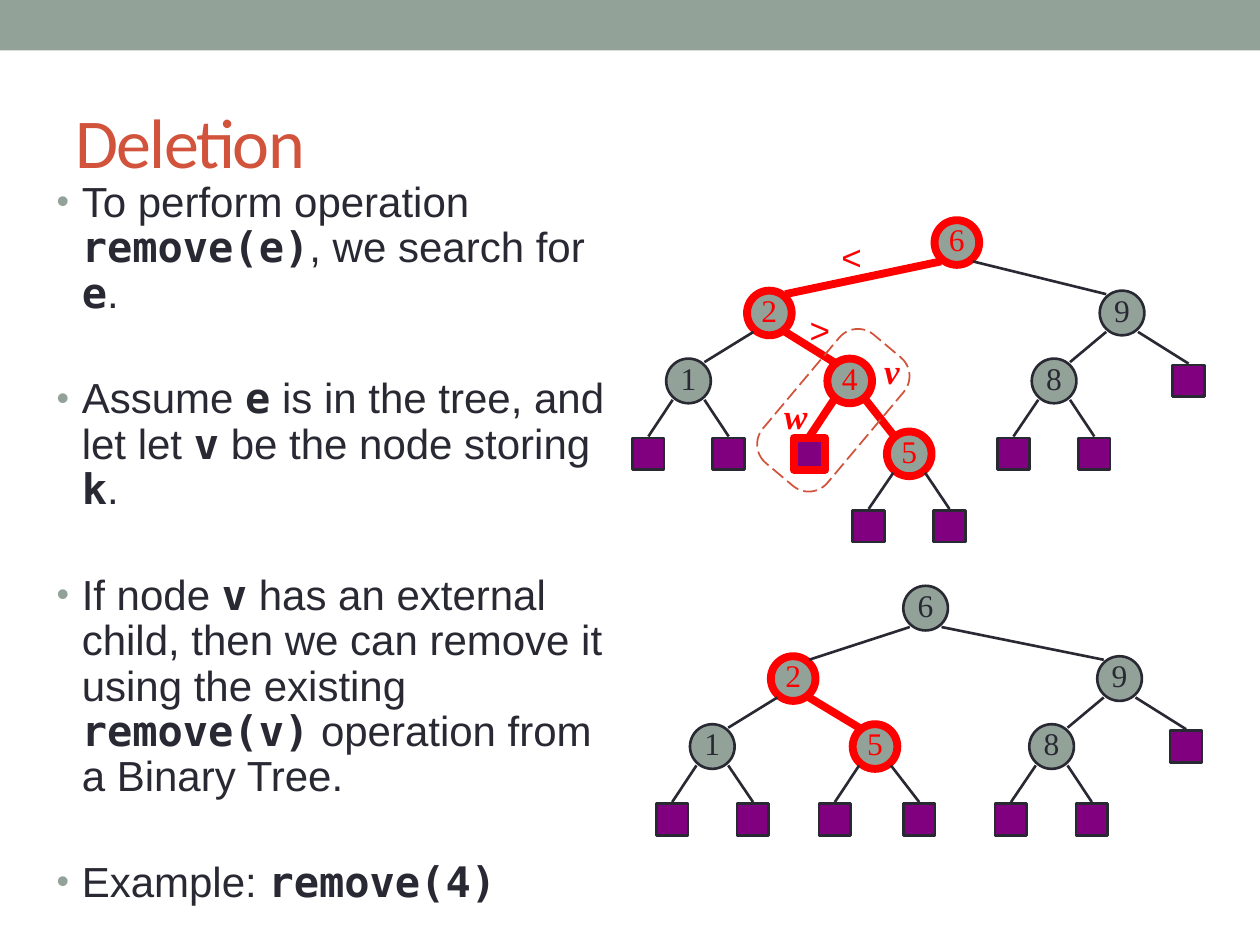
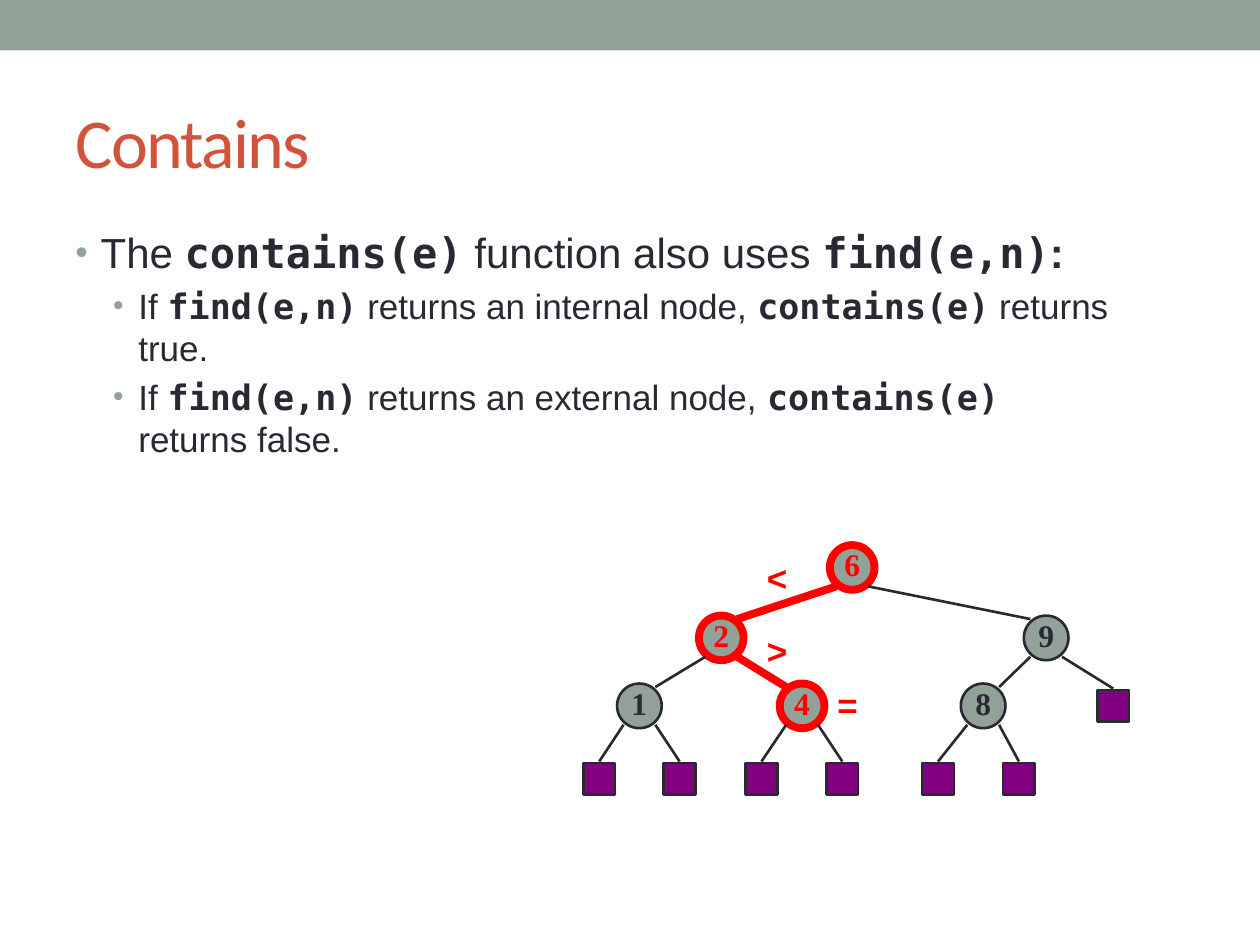
from lxml.etree import SubElement
from pptx import Presentation
from pptx.dml.color import RGBColor
from pptx.enum.dml import MSO_LINE as Dash
from pptx.enum.shapes import MSO_CONNECTOR as Link, MSO_SHAPE as Kind
from pptx.enum.text import MSO_ANCHOR as Anchor, PP_ALIGN as Align
from pptx.oxml.ns import qn
from pptx.util import Cm, Pt

# Shared look
SAGE, RUST, INK = "93A299", "D2533C", "292934"
RED, PLUM = "FF0000", "800080"
SANS, MONO, SERIF, HEAD = "Arial", "DejaVu Sans Mono", "Times New Roman", "Calibri"
THIN, THICK = 1.5, 4.5

# Content: `code` is set in bold mono, a part that starts with * in bold
STEPS = [
    "To perform operation `remove(e)`, we search for `e`.",
    "Assume `e` is in the tree, and let let `v` be the node storing `k`.",
    "If node `v` has an external child, then we can remove it using the "
    "existing `remove(v)` operation from a Binary Tree.",
    "Example: `remove(4)`",
]
USES = ["The `contains(e)` function also uses `find(e,n)`*:"]
CASES = [
    "If `find(e,n)` returns an internal node, `contains(e)` returns true.",
    "If `find(e,n)` returns an external node, `contains(e)` returns false.",
]

# Trees: key -> (parent, centre x), leaves as (parent, centre x), in cm
BEFORE = dict(
    top=4.89, hot="6245", hot_leaf=16.32,
    nodes={"6": ("", 19.29), "2": ("6", 15.51), "9": ("6", 22.62),
           "1": ("2", 13.88), "4": ("2", 17.13), "8": ("9", 21.25),
           "5": ("4", 18.33)},
    leaves=[("1", 13.07), ("1", 14.69), ("4", 16.32), ("5", 17.51),
            ("5", 19.14), ("8", 20.43), ("8", 22.06), ("9", 23.96)])
AFTER = dict(
    top=12.26, hot="25",
    nodes={"6": ("", 18.66), "2": ("6", 15.99), "9": ("6", 22.57),
           "1": ("2", 14.36), "5": ("2", 17.64), "8": ("9", 21.2)},
    leaves=[("1", 13.55), ("1", 15.18), ("5", 16.83), ("5", 18.53),
            ("8", 20.38), ("8", 22.01), ("9", 23.91)])
FOUND = dict(
    top=11.44, hot="624", bold=True,
    nodes={"6": ("", 17.18), "2": ("6", 14.54), "9": ("6", 21.09),
           "1": ("2", 12.89), "4": ("2", 16.17), "8": ("9", 19.82)},
    leaves=[("1", 12.08), ("1", 13.7), ("4", 15.35), ("4", 16.98),
            ("8", 18.91), ("8", 20.54), ("9", 22.44)])
LEVELS = [0, 1.42, 2.79, 4.26, 5.72]
NODE, LEAF = 0.9, 0.64

# Marks beside the trees: text, centre x, centre y
SIGNS = [("<", 17.16, 5.17), (">", 16.52, 6.64)]
NAMES = [("v", 17.98, 7.48), ("w", 16.01, 8.37)]
TESTS = [("<", 15.66, 11.65), (">", 15.66, 13.12), ("=", 17.08, 14.21)]


def color(code):
    return RGBColor.from_string(code)


def bullet(para, left):
    props = para._p.get_or_add_pPr()
    props.set("marL", str(Cm(left)))
    props.set("indent", str(-Cm(0.51)))
    tint = SubElement(props, qn("a:buClr"))
    SubElement(tint, qn("a:srgbClr"), val=SAGE)
    SubElement(props, qn("a:buSzPct"), val="85000")
    SubElement(props, qn("a:buFont"), typeface=SANS)
    SubElement(props, qn("a:buChar"), char="•")


def write(frame, lines, size=24, font=SANS, ink=INK, bold=False, slant=False,
          align=Align.LEFT, left=None, level=0, pitch=1.0, gap=0, more=False):
    """Write lines into a frame; left adds bullets, more keeps earlier lines."""
    for n, line in enumerate(lines):
        para = frame.add_paragraph() if n or more else frame.paragraphs[0]
        para.alignment, para.level, para.line_spacing = align, level, pitch
        para.space_before = Pt(gap if n or more else 0)
        if left is not None:
            bullet(para, left)
        for k, part in enumerate(line.split("`")):
            if not part:
                continue
            code = k % 2 == 1
            run = para.add_run()
            run.text = part.lstrip("*")
            face = run.font
            face.name, face.size = MONO if code else font, Pt(size)
            face.bold = bold or code or part.startswith("*")
            face.italic = slant
            face.color.rgb = color(ink)


def box(shapes, x, y, w, h, wrap=True):
    frame = shapes.add_textbox(Cm(x), Cm(y), Cm(w), Cm(h)).text_frame
    frame.word_wrap = wrap
    return frame


def form(shapes, kind, x, y, w, h, fill=None, line=None, width=THIN):
    shape = shapes.add_shape(kind, Cm(x), Cm(y), Cm(w), Cm(h))
    shape.shadow.inherit = False
    if fill:
        shape.fill.solid()
        shape.fill.fore_color.rgb = color(fill)
    else:
        shape.fill.background()
    if line:
        shape.line.color.rgb = color(line)
        shape.line.width = Pt(width)
    else:
        shape.line.fill.background()
    return shape


def pen(hot):
    return (RED, THICK) if hot else (INK, THIN)


def edge(shapes, start, end, leaf, hot):
    """Join the lower side of a node to the top of its child."""
    (x, y), (u, v) = start, end
    side = 0.32 if u > x else -0.32
    wire = shapes.add_connector(
        Link.STRAIGHT, Cm(x + side), Cm(y + 0.38),
        Cm(u if leaf else u - side), Cm(v - (0.35 if leaf else 0.38)))
    ink, width = pen(hot)
    wire.line.color.rgb = color(ink)
    wire.line.width = Pt(width)
    SubElement(wire._element.spPr, qn("a:effectLst"))


def tree(shapes, top, hot, nodes, leaves, hot_leaf=None, bold=False):
    depth, spot, edges = {"": -1}, {}, []
    for key, (parent, x) in nodes.items():
        depth[key] = depth[parent] + 1
        y = top + LEVELS[depth[key]]
        spot[key] = x, y
        ink, width = pen(key in hot)
        disc = form(shapes, Kind.OVAL, x - NODE / 2, y - NODE / 2, NODE, NODE,
                    SAGE, ink, width)
        frame = disc.text_frame
        frame.margin_left = frame.margin_right = frame.margin_top = 0
        frame.margin_bottom = Cm(0.13)
        frame.word_wrap, frame.vertical_anchor = False, Anchor.MIDDLE
        write(frame, [key], size=18, font=SERIF, ink=ink, bold=bold,
              align=Align.CENTER)
        if parent:
            edges.append((spot[parent], (x, y), False,
                          key in hot and parent in hot))
    for parent, x in leaves:
        y = top + LEVELS[depth[parent] + 1]
        lit = x == hot_leaf
        form(shapes, Kind.RECTANGLE, x - LEAF / 2, y - LEAF / 2, LEAF, LEAF,
             PLUM, *pen(lit))
        edges.append((spot[parent], (x, y), True, lit))
    for item in edges:
        edge(shapes, *item)


def marks(shapes, items, **fmt):
    for text, x, y in items:
        frame = box(shapes, x - 0.45, y - 0.55, 0.9, 1.1, wrap=False)
        write(frame, [text], size=20, ink=RED, align=Align.CENTER, **fmt)


def page(name):
    slide = deck.slides.add_slide(layout)
    title = slide.shapes.title
    title.left, title.top = Cm(1.27), Cm(1.47)
    title.width, title.height = Cm(22.86), Cm(2.74)
    title.text_frame.vertical_anchor = Anchor.MIDDLE
    write(title.text_frame, [name], size=40, font=HEAD, ink=RUST)
    title.text_frame.paragraphs[0].runs[0].font._element.set("spc", "-100")
    return slide.shapes


deck = Presentation()
deck.slide_width, deck.slide_height = Cm(25.4), Cm(19.05)
layout = deck.slide_layouts[5]

# Deletion
shapes = page("Deletion")

# The top band goes into the layout that both slides share
band = form(shapes, Kind.RECTANGLE, 0, 0, 25.4, 1.02, SAGE)
layout.shapes.element.insert(2, band._element)

tree(shapes, **BEFORE)
tree(shapes, **AFTER)
marks(shapes, NAMES, font=SERIF, bold=True, slant=True)
marks(shapes, SIGNS)
ring = form(shapes, Kind.ROUNDED_RECTANGLE, 15.11, 7.42, 3.38, 1.7,
            line=RUST, width=1)
ring.adjustments[0] = 0.29
ring.rotation = 310
ring.line.dash_style = Dash.LONG_DASH
write(box(shapes, 0.89, 3.53, 11.81, 14.6), STEPS, left=0.51, pitch=0.9,
      gap=34.5)

# Contains
shapes = page("Contains")
body = box(shapes, 1.27, 4.45, 21.51, 13.54)
write(body, USES, left=0.51)
write(body, CASES, size=20, left=1.27, level=1, gap=4, more=True)
group = shapes.add_group_shape().shapes
tree(group, **FOUND)
marks(group, TESTS, bold=True)

deck.save("out.pptx")
